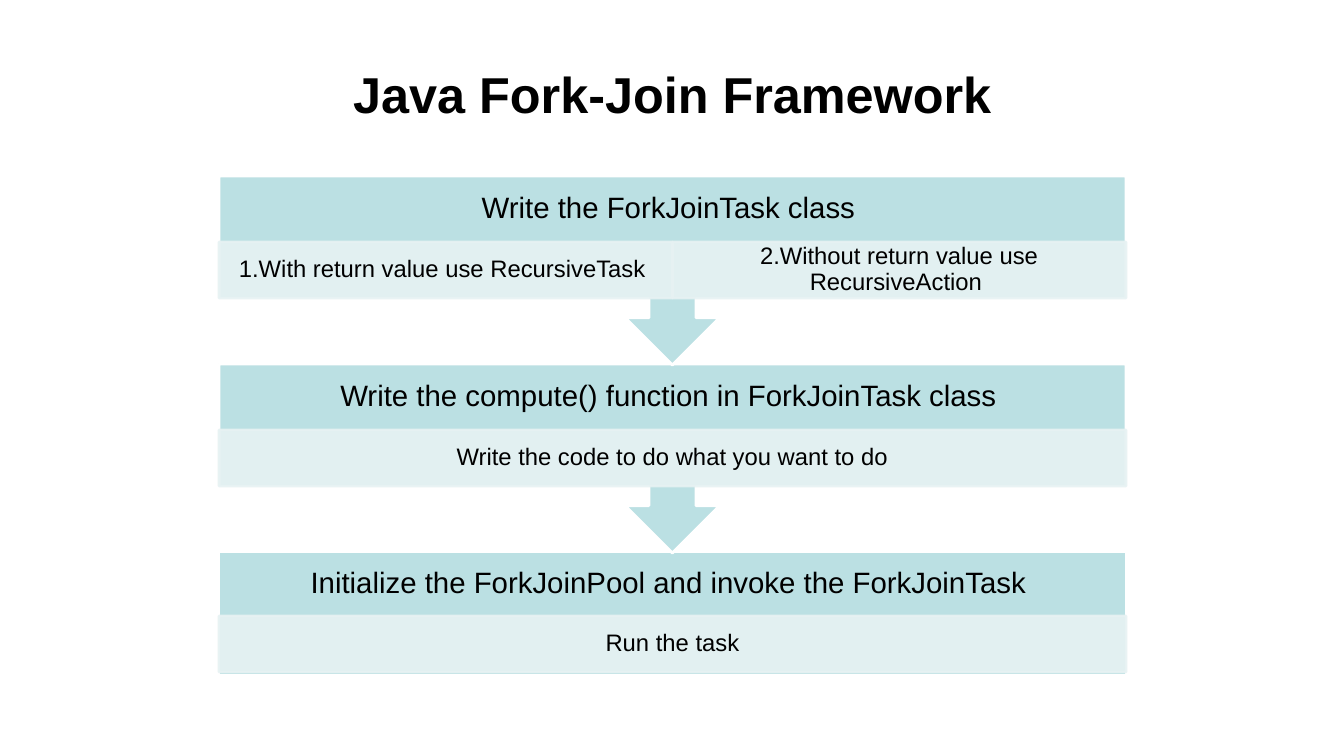
from dataclasses import dataclass

from lxml import etree
from pptx import Presentation
from pptx.dml.color import RGBColor
from pptx.enum.shapes import MSO_SHAPE as SHAPE
from pptx.enum.text import MSO_ANCHOR as ANCHOR, PP_ALIGN as ALIGN
from pptx.oxml.ns import qn
from pptx.util import Pt

TITLE = "Java Fork-Join Framework"
# heading, heading height in px, details
STEPS = [
    ("Write the ForkJoinTask class ", 66,
     ["1.With return value use RecursiveTask ",
      "2.Without return value use RecursiveAction "]),
    ("Write the compute() function in ForkJoinTask class ", 66,
     ["Write the code to do what you want to do"]),
    ("Initialize the ForkJoinPool and invoke the ForkJoinTask ", 64,
     ["Run the task"]),
]


@dataclass(frozen=True)
class Theme:
    font: str = "Arial"
    text: str = "000000"
    step: str = "BBE0E3"
    step_line: str = "FFFFFF"
    detail: str = "E7F2F3"
    detail_alpha: int = 90
    line_pt: int = 2
    title_pt: int = 36
    step_pt: int = 21
    detail_pt: int = 17


THEME = Theme()

EMU_PER_PX = 914400 / 100.8
SLIDE_W, SLIDE_H = 1344, 756
LEFT, WIDTH = 219, 907
TITLE_TOP, TITLE_H = 30, 126
STEPS_TOP, PITCH = 176, 188
BODY_H, CALLOUT_H = 123, 189
DETAIL_H = 56
CALLOUT_ADJ = (0.25, 0.25, 0.25, 0.65)


def px(n):
    return round(n * EMU_PER_PX)


def write(sp, text, size, insets, bold=False, spacing=None):
    """Fill a shape with one centred paragraph; insets are left, top, right, bottom."""
    tf = sp.text_frame
    tf.word_wrap = True
    tf.vertical_anchor = ANCHOR.MIDDLE
    tf.margin_left, tf.margin_top, tf.margin_right, tf.margin_bottom = map(px, insets)
    p = tf.paragraphs[0]
    p.alignment = ALIGN.CENTER
    if spacing:
        p.line_spacing = spacing
    r = p.add_run()
    r.text = text
    r.font.name = THEME.font
    r.font.size = Pt(size)
    r.font.bold = bold
    r.font.color.rgb = RGBColor.from_string(THEME.text)


def add_box(slide, kind, box, fill, line, alpha=100):
    sp = slide.shapes.add_shape(kind, *map(px, box))
    sp.shadow.inherit = False
    sp.fill.solid()
    sp.fill.fore_color.rgb = RGBColor.from_string(fill)
    sp.line.color.rgb = RGBColor.from_string(line)
    sp.line.width = Pt(THEME.line_pt)
    if alpha < 100:
        for color in sp._element.spPr.iter(qn("a:srgbClr")):
            etree.SubElement(color, qn("a:alpha"), val=str(alpha * 1000))
    return sp


def add_step(slide, top, heading, head_h, details, is_last):
    kind = SHAPE.RECTANGLE if is_last else SHAPE.DOWN_ARROW_CALLOUT
    height = BODY_H if is_last else CALLOUT_H
    sp = add_box(slide, kind, (LEFT, top, WIDTH, height), THEME.step, THEME.step_line)
    if not is_last:
        for i, value in enumerate(CALLOUT_ADJ):
            sp.adjustments[i] = value
    # the bottom inset keeps the heading above the details
    write(sp, heading, THEME.step_pt, (16, 16, 16, 16 + BODY_H - head_h), spacing=0.9)

    cell_w = WIDTH / len(details)
    for i, detail in enumerate(details):
        box = (LEFT + i * cell_w, top + head_h, cell_w, DETAIL_H)
        sp = add_box(slide, SHAPE.RECTANGLE, box, THEME.detail, THEME.detail,
                     THEME.detail_alpha)
        write(sp, detail, THEME.detail_pt, (13, 2, 13, 2), spacing=0.9)


def main():
    prs = Presentation()
    prs.slide_width, prs.slide_height = px(SLIDE_W), px(SLIDE_H)
    slide = prs.slides.add_slide(prs.slide_layouts[6])

    title = slide.shapes.add_textbox(*map(px, (LEFT, TITLE_TOP, WIDTH, TITLE_H)))
    write(title, TITLE, THEME.title_pt, (10, 5, 10, 5), bold=True)

    # last step first, so each arrow tip lies over the step below it
    last = len(STEPS) - 1
    for i, step in reversed(list(enumerate(STEPS))):
        add_step(slide, STEPS_TOP + i * PITCH, *step, is_last=i == last)

    prs.save("out.pptx")


if __name__ == "__main__":
    main()
